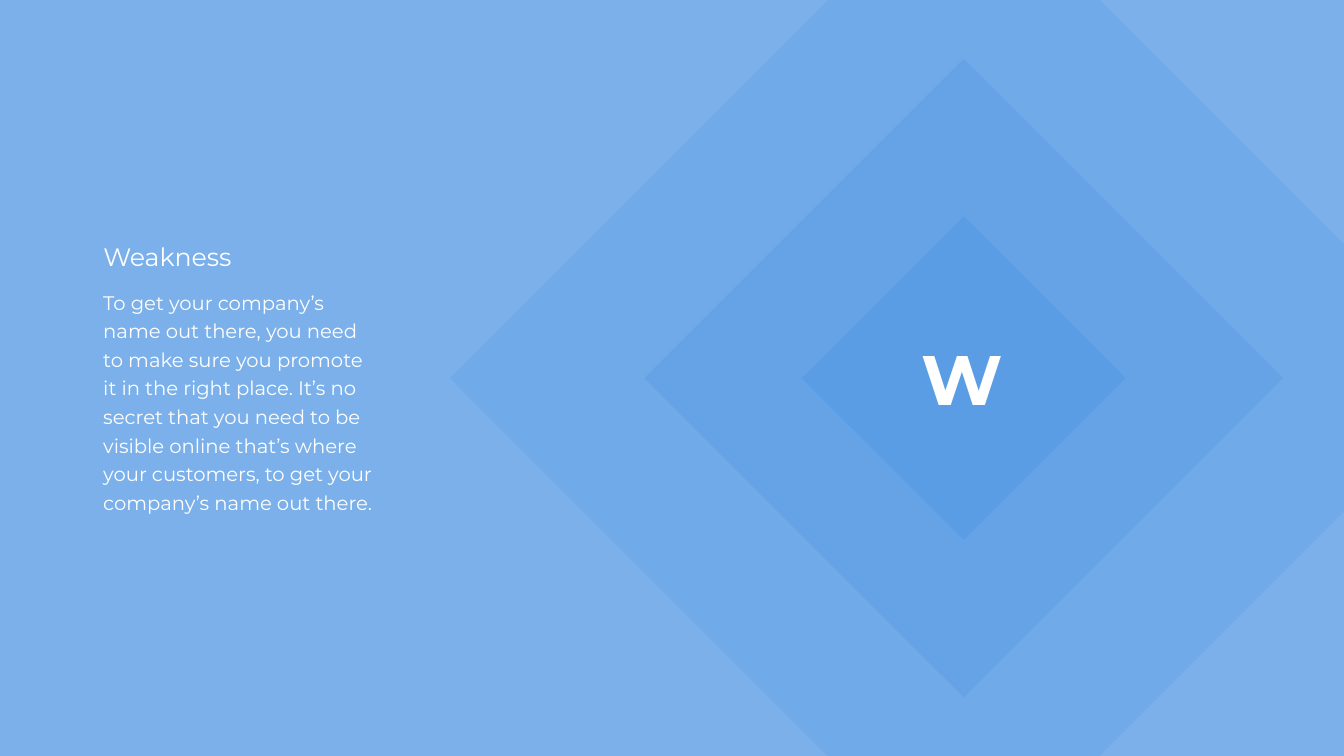
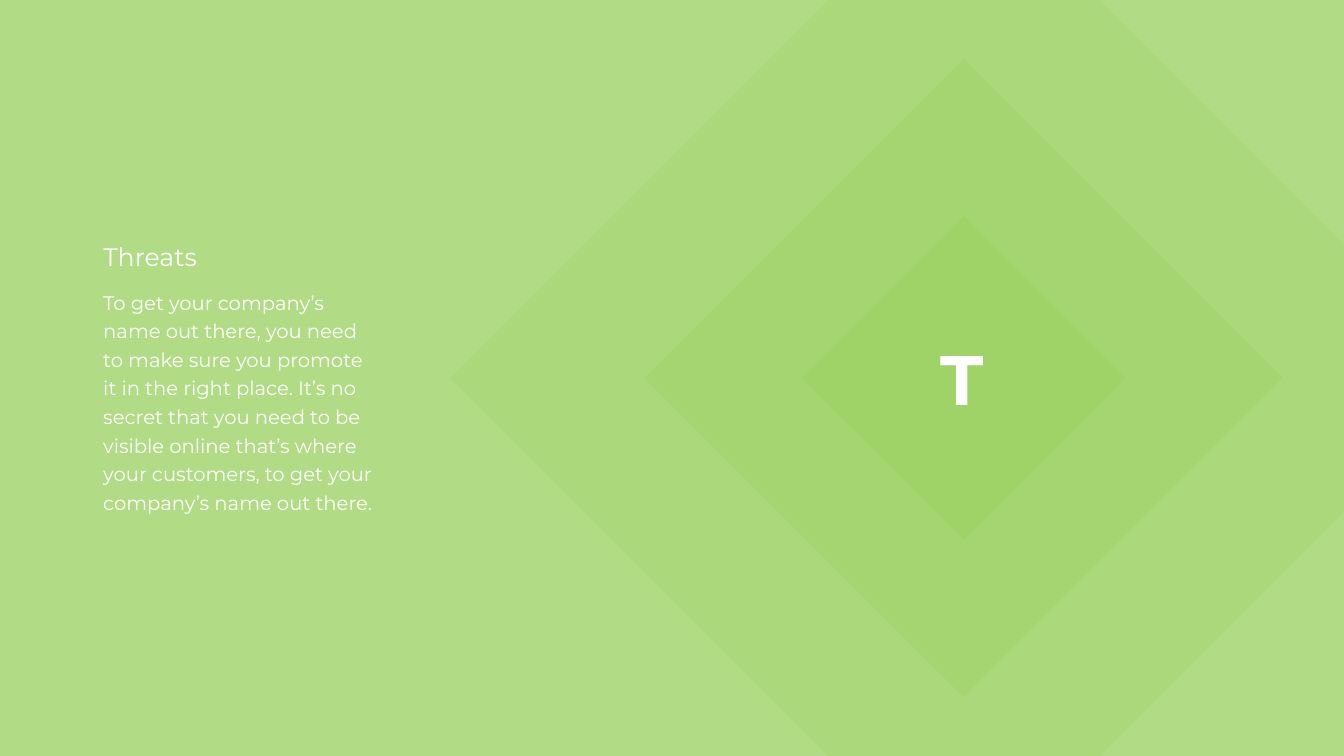
from lxml.etree import SubElement
from pptx import Presentation
from pptx.dml.color import RGBColor
from pptx.enum.shapes import MSO_SHAPE
from pptx.enum.text import MSO_AUTO_SIZE, PP_ALIGN
from pptx.oxml.ns import qn
from pptx.util import Pt

BODY = (
    "To get your company’s name out there, you need to make sure you promote "
    "it in the right place. It’s no secret that you need to be visible online "
    "that’s where your customers, to get your company’s name out there."
)
TOPICS = [("Weakness", "W", "5B9DE5"), ("Threats", "T", "9FD368")]

WHITE = "FEFFFE"
SLIDE_WIDTH, SLIDE_HEIGHT = 1919.52, 1080
DIAMOND_CENTER = (1376.3, 540.2)
DIAMONDS = [(1037.5, 30), (645.1, 50), (326.9, 100)]
BACKDROP_OPACITY = 80

BODY_BOX = (140.4, 404.6, 405.4, 334.8)
TITLE_BOX = (140.4, 340.6, 346.3, 51.1)
LETTER_BOX = (1266.5, 475.9, 214.6, 128.2)
BODY_FONT = {"size": Pt(28)}
TITLE_FONT = {"size": Pt(36)}
LETTER_FONT = {"size": Pt(100), "bold": True}
BODY_PARAGRAPH = {"line_spacing": Pt(40.8)}
LETTER_PARAGRAPH = {"alignment": PP_ALIGN.CENTER}
LETTER_TRACKING = 3


def set_color(fill, color, opacity=100):
    fill.solid()
    fill.fore_color.rgb = RGBColor.from_string(color)
    if opacity < 100:
        solid = fill._xPr.find(qn("a:solidFill"))
        SubElement(solid[0], qn("a:alpha"), val=str(opacity * 1000))


def set_values(target, values):
    for name, value in values.items():
        setattr(target, name, value)


def add_rectangle(slide, box, color, opacity, rotation=0):
    shape = slide.shapes.add_shape(MSO_SHAPE.RECTANGLE, *map(Pt, box))
    shape.shadow.inherit = False
    shape.rotation = rotation
    shape.line.fill.background()
    set_color(shape.fill, color, opacity)


def add_text(shapes, box, text, font, paragraph_format=None, tracking=0):
    frame = shapes.add_textbox(*map(Pt, box)).text_frame
    set_values(frame, {"word_wrap": True, "auto_size": MSO_AUTO_SIZE.SHAPE_TO_FIT_TEXT})
    paragraph = frame.paragraphs[0]
    set_values(paragraph, paragraph_format or {})
    run = paragraph.add_run()
    run.text = text
    set_values(run.font, {"name": "Montserrat", **font})
    set_color(run.font.fill, WHITE)
    if tracking:
        run._r.get_or_add_rPr().set("spc", str(tracking * 100))


def add_topic(presentation, title, letter, color):
    slide = presentation.slides.add_slide(presentation.slide_layouts[6])
    set_color(slide.background.fill, WHITE)
    add_rectangle(slide, (0, 0, SLIDE_WIDTH, SLIDE_HEIGHT), color, BACKDROP_OPACITY)

    group = slide.shapes.add_group_shape()
    add_text(group.shapes, BODY_BOX, BODY, BODY_FONT, BODY_PARAGRAPH)
    add_text(group.shapes, TITLE_BOX, title, TITLE_FONT)

    center_x, center_y = DIAMOND_CENTER
    for side, opacity in DIAMONDS:
        box = (center_x - side / 2, center_y - side / 2, side, side)
        add_rectangle(slide, box, color, opacity, rotation=45)
    add_text(slide.shapes, LETTER_BOX, letter, LETTER_FONT, LETTER_PARAGRAPH, LETTER_TRACKING)


def main():
    presentation = Presentation()
    presentation.slide_width = Pt(SLIDE_WIDTH)
    presentation.slide_height = Pt(SLIDE_HEIGHT)
    for topic in TOPICS:
        add_topic(presentation, *topic)
    presentation.save("out.pptx")


if __name__ == "__main__":
    main()
